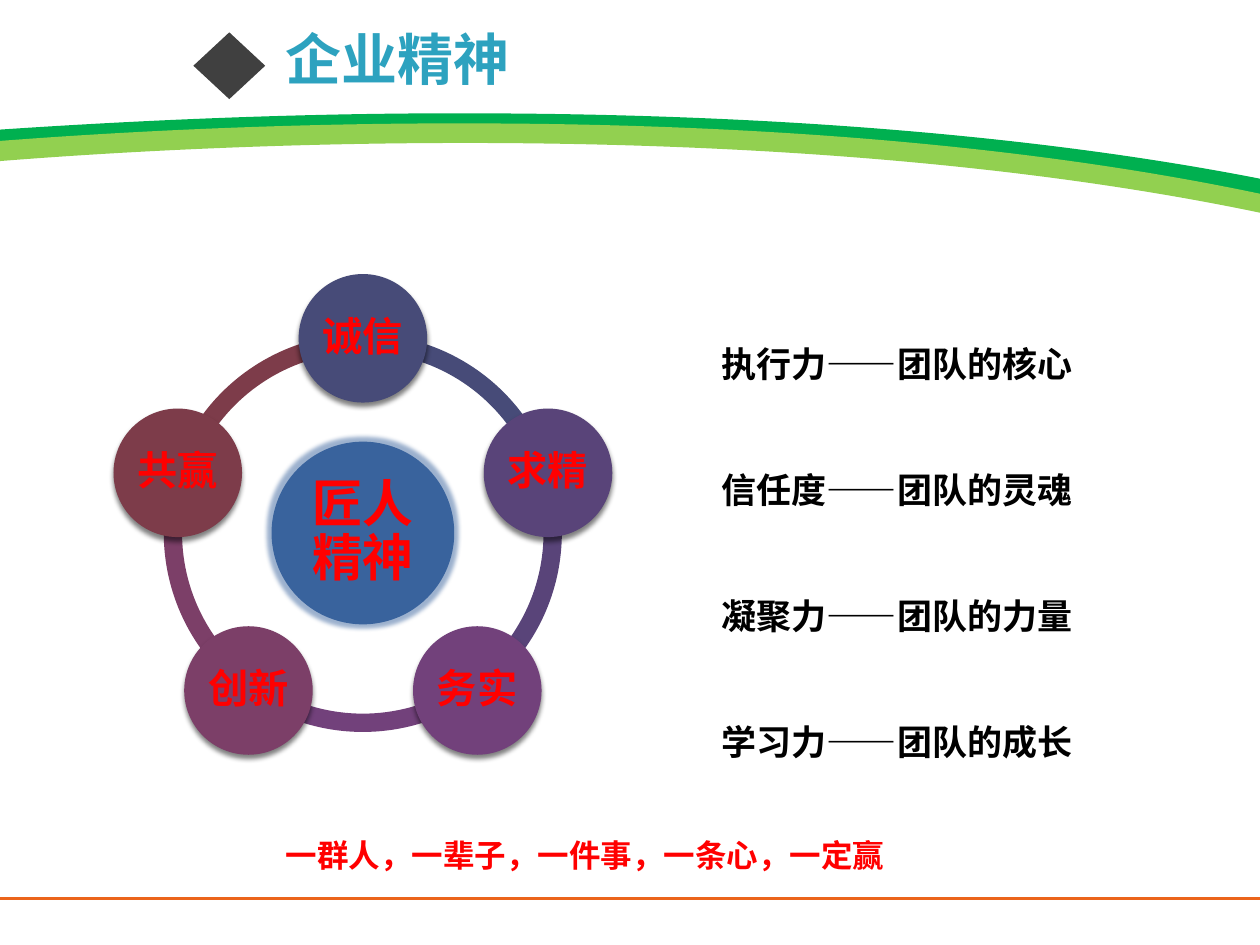
from math import cos, pi, sin
from lxml import etree
from pptx import Presentation
from pptx.dml.color import RGBColor
from pptx.enum.shapes import MSO_CONNECTOR, MSO_SHAPE
from pptx.enum.text import MSO_ANCHOR, PP_ALIGN
from pptx.oxml.ns import qn
from pptx.util import Inches, Pt

OVAL, ARC, GEM = MSO_SHAPE.OVAL, MSO_SHAPE.BLOCK_ARC, MSO_SHAPE.DIAMOND
LINE = MSO_CONNECTOR.STRAIGHT
TOP, MID, LOW = MSO_ANCHOR.TOP, MSO_ANCHOR.MIDDLE, MSO_ANCHOR.BOTTOM
LEFT, CENTER = PP_ALIGN.LEFT, PP_ALIGN.CENTER
NS = "http://schemas.openxmlformats.org/drawingml/2006/main"
rgb = RGBColor.from_string

# Grid of 100 columns by 75 rows
deck = Presentation()
deck.slide_width, deck.slide_height = Inches(10), Inches(7.5)
cell = deck.slide_width / 100
slide = deck.slides.add_slide(deck.slide_layouts[6])
shapes = slide.shapes


def paint(shape, color):
    shape.shadow.inherit = False
    shape.fill.solid()
    shape.fill.fore_color.rgb = rgb(color)
    shape.line.fill.background()
    return shape


def write(shape, lines, size, color, face="Calibri", anchor=TOP,
          align=LEFT, inset=None, **form):
    frame = shape.text_frame
    frame.word_wrap, frame.vertical_anchor = True, anchor
    if inset is not None:
        for side in ("left", "right", "top", "bottom"):
            setattr(frame, "margin_" + side, int(inset * cell))
    for i, line in enumerate(lines):
        para = frame.paragraphs[0] if i == 0 else frame.add_paragraph()
        para.alignment = align
        for name, value in form.items():
            if name != "space_before" or i:
                setattr(para, name, value)
        run = para.add_run()
        run.text = line
        font = {"size": Pt(size), "name": face, "bold": True}
        for name, value in font.items():
            setattr(run.font, name, value)
        run.font.color.rgb = rgb(color)


# Green bands: curve, edge, curve, edge, curve
bands = [
    ("00B050", [(39.3, 9), (58.9, 9.1), (80.7, 10.4), (100.1, 14.2),
                (100.1, 15.7), (65.7, 8.9), (23.6, 10.1), (-0.2, 11.8),
                (-0.2, 10.3), (10.2, 9.6), (24.1, 8.9), (39.3, 9)]),
    ("92D050", [(39.3, 9.8), (58.9, 9.9), (80.7, 11.3), (100.1, 15.4),
                (100.1, 16.9), (65.7, 9.7), (23.6, 10.9), (-0.2, 12.8),
                (-0.2, 11.2), (10.2, 10.4), (24.1, 9.7), (39.3, 9.8)]),
]
for color, spots in bands:
    dots = [(int(x * cell), int(y * cell)) for x, y in spots]
    pen = shapes.build_freeform(*dots[0])
    pen.add_line_segments(dots[1:], close=True)
    band = paint(pen.convert_to_shape(), color)
    # Turn each run of three segments into one cubic curve
    legs = list(band._element.iter(qn("a:lnTo")))
    for first in (0, 4, 8):
        curve = etree.Element(qn("a:cubicBezTo"))
        legs[first].addprevious(curve)
        for leg in legs[first:first + 3]:
            curve.append(leg[0])
            leg.getparent().remove(leg)

# Footer rule
rule = shapes.add_connector(
    LINE, 0, int(71.3 * cell), deck.slide_width, int(71.3 * cell))
rule.line.color.rgb, rule.line.width = rgb("EB641B"), Pt(1.5)
etree.SubElement(rule._element.spPr, qn("a:effectLst"))

# Title and its diamond
title = shapes.add_textbox(
    *[int(n * cell) for n in (21.7, 0.9, 21.9, 6.9)])
write(title, ["企业精神"], 32, "2DA2BF", "Noto Sans CJK SC", LOW,
      line_spacing=0.9)
paint(shapes.add_shape(
    GEM, *[int(n * cell) for n in (15.35, 2.57, 5.7, 5.3)]), "404040")

# Ring of arcs, one from each value to the next
MX, MY, ORBIT = 28.8, 42.3, 15.45
values = [("诚信", "474B78"), ("求精", "594479"), ("务实", "72417B"),
          ("创新", "7C3F68"), ("共赢", "7D3C4A")]
TURN, FIRST = 216, 162
SPAN = TURN / len(values)
for i, (word, color) in enumerate(values):
    arc = paint(shapes.add_shape(
        ARC, *[int(n * cell) for n in (MX - 15.8, MY - 15.8, 31.6, 31.6)]),
        color)
    start = FIRST + SPAN * i
    for k, value in enumerate((start % TURN, (start + SPAN) % TURN, 0.046)):
        arc.adjustments[k] = value

# Hub with a soft glow
hub = paint(shapes.add_shape(
    OVAL, *[int(n * cell) for n in (MX - 7.25, MY - 7.25, 14.5, 14.5)]),
    "39639D")
hub._element.spPr.find(qn("a:effectLst")).append(etree.fromstring(
    f'<a:glow xmlns:a="{NS}" rad="63500"><a:srgbClr val="39639D">'
    '<a:alpha val="50000"/></a:srgbClr></a:glow>'))
write(hub, ["匠人精神"], 29, "FF0000", anchor=MID, align=CENTER,
      inset=0.4, line_spacing=0.9)

# Value discs, evenly spaced round the hub
SIZE = 10.2
for i, (word, color) in enumerate(values):
    angle = 2 * pi * i / len(values)
    x = MX + ORBIT * sin(angle) - SIZE / 2
    y = MY - ORBIT * cos(angle) - SIZE / 2
    disc = paint(shapes.add_shape(
        OVAL, *[int(n * cell) for n in (x, y, SIZE, SIZE)]), color)
    disc._element.spPr.find(qn("a:effectLst")).append(etree.fromstring(
        f'<a:outerShdw xmlns:a="{NS}" blurRad="35560" dist="31750" '
        'dir="5400000" rotWithShape="0"><a:srgbClr val="000000">'
        '<a:alpha val="50000"/></a:srgbClr></a:outerShdw>'))
    write(disc, [word], 23, "FF0000", anchor=MID, align=CENTER,
          inset=0.3, line_spacing=0.9)

# Motto and team strengths
motto = shapes.add_textbox(
    *[int(n * cell) for n in (21.7, 65.85, 65.4, 4)])
write(motto, ["一群人，一辈子，一件事，一条心，一定赢"], 18, "FF0000")
team = shapes.add_textbox(
    *[int(n * cell) for n in (56.3, 23.3, 35.4, 38)])
write(team, ["执行力——团队的核心", "信任度——团队的灵魂",
             "凝聚力——团队的力量", "学习力——团队的成长"],
      20, "000000", anchor=LOW, space_before=Pt(48))
team.text_frame.margin_bottom = int(0.8 * cell)

deck.save("out.pptx")
